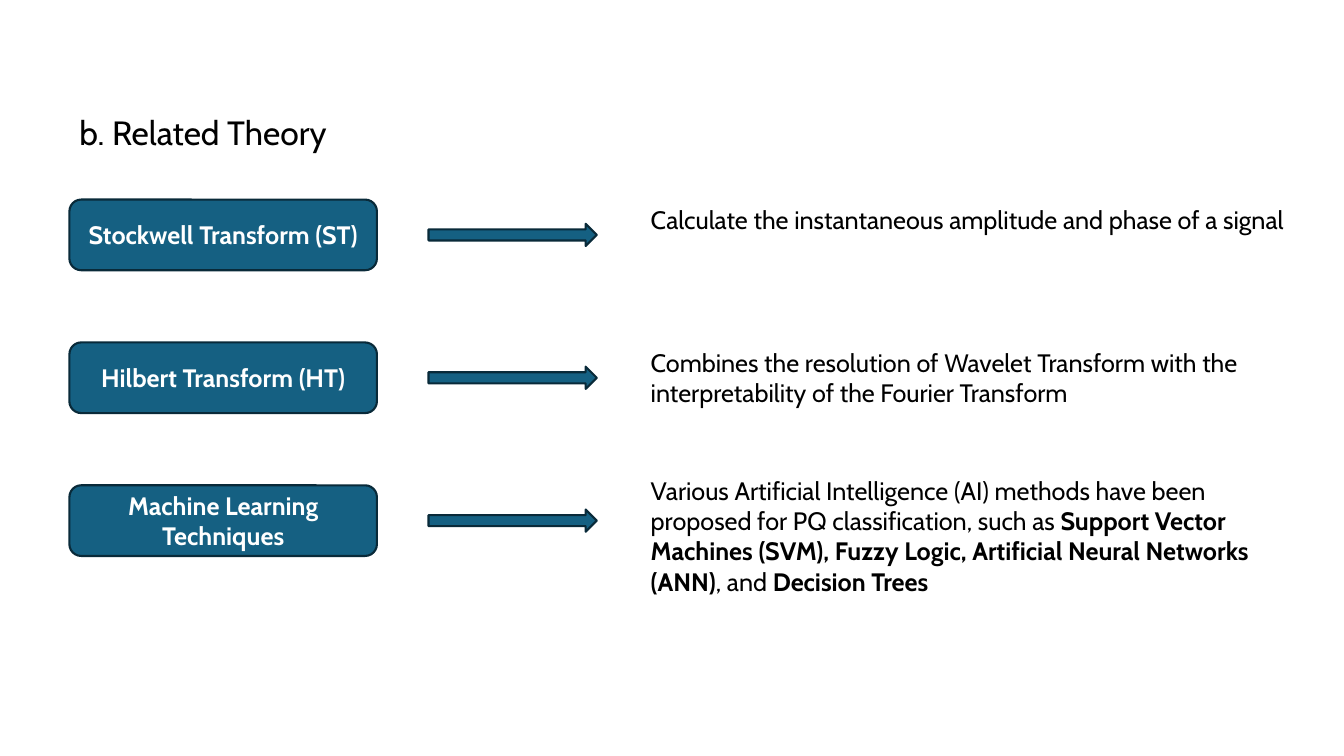
from dataclasses import dataclass

from pptx import Presentation
from pptx.dml.color import RGBColor
from pptx.enum.shapes import MSO_SHAPE
from pptx.enum.text import MSO_ANCHOR, PP_ALIGN
from pptx.util import Cm, Pt


@dataclass(frozen=True)
class Theme:
    font: str = "Cabin"
    fill: RGBColor = RGBColor(0x15, 0x60, 0x82)
    outline: RGBColor = RGBColor(0x09, 0x2A, 0x39)
    dark_text: RGBColor = RGBColor(0, 0, 0)
    light_text: RGBColor = RGBColor(255, 255, 255)
    heading_size: Pt = Pt(24)
    body_size: Pt = Pt(18)
    outline_width: Pt = Pt(1.5)


@dataclass(frozen=True)
class Box:
    left: float
    top: float
    width: float
    height: float

    def lengths(self):
        return Cm(self.left), Cm(self.top), Cm(self.width), Cm(self.height)


THEME = Theme()

METHODS = [
    (
        "Stockwell Transform (ST)",
        [("Calculate the instantaneous amplitude and phase of a signal", False)],
        0,
        1.8,
    ),
    (
        "Hilbert Transform (HT)",
        [("Combines the resolution of Wavelet Transform with the "
          "interpretability of the Fourier Transform", False)],
        0,
        1.8,
    ),
    (
        "Machine Learning Techniques",
        [
            ("Various Artificial Intelligence (AI) methods have been proposed "
             "for PQ classification, such as ", False),
            ("Support Vector Machines (SVM), Fuzzy Logic, "
             "Artificial Neural Networks (ANN)", True),
            (", and ", False),
            ("Decision Trees", True),
        ],
        -0.38,
        3.33,
    ),
]


def format_run(run, size, color, bold=False):
    run.font.name = THEME.font
    run.font.size = size
    run.font.color.rgb = color
    run.font.bold = bold


def add_text(slide, box, parts, size):
    text_frame = slide.shapes.add_textbox(*box.lengths()).text_frame
    text_frame.word_wrap = True
    paragraph = text_frame.paragraphs[0]
    for text, bold in parts:
        run = paragraph.add_run()
        run.text = text
        format_run(run, size, THEME.dark_text, bold)


def add_filled_shape(slide, kind, box):
    shape = slide.shapes.add_shape(kind, *box.lengths())
    shape.shadow.inherit = False
    shape.fill.solid()
    shape.fill.fore_color.rgb = THEME.fill
    shape.line.color.rgb = THEME.outline
    shape.line.width = THEME.outline_width
    return shape


def add_method_label(slide, box, label):
    shape = add_filled_shape(slide, MSO_SHAPE.ROUNDED_RECTANGLE, box)
    text_frame = shape.text_frame
    text_frame.word_wrap = True
    text_frame.vertical_anchor = MSO_ANCHOR.MIDDLE
    text_frame.text = label
    paragraph = text_frame.paragraphs[0]
    paragraph.alignment = PP_ALIGN.CENTER
    format_run(paragraph.runs[0], THEME.body_size, THEME.light_text, True)


def add_method_row(slide, box, label, description, text_shift, text_height):
    add_method_label(slide, Box(box.left, box.top, 7.75, box.height), label)
    arrow_height = 0.56
    arrow_top = box.top + (box.height - arrow_height) / 2
    add_filled_shape(
        slide,
        MSO_SHAPE.RIGHT_ARROW,
        Box(box.left + 9.05, arrow_top, 4.24, arrow_height),
    )
    text_offset = 14.4
    text_box = Box(box.left + text_offset, box.top + text_shift,
                   box.width - text_offset, text_height)
    add_text(slide, text_box, description, THEME.body_size)


def add_theory_slide(presentation, box):
    slide = presentation.slides.add_slide(presentation.slide_layouts[6])
    heading_box = Box(box.left, box.top, 7.75, 1.27)
    add_text(slide, heading_box, [("b. Related Theory", False)], THEME.heading_size)
    row_pitch = 3.6
    for index, method in enumerate(METHODS):
        row_top = box.top + 2.34 + index * row_pitch
        add_method_row(slide, Box(box.left, row_top, box.width, 1.78), *method)


def main():
    presentation = Presentation()
    presentation.slide_width = Cm(33.87)
    presentation.slide_height = Cm(19.05)
    add_theory_slide(presentation, Box(1.75, 2.69, 31.34, 12.5))
    presentation.save("out.pptx")


if __name__ == "__main__":
    main()
